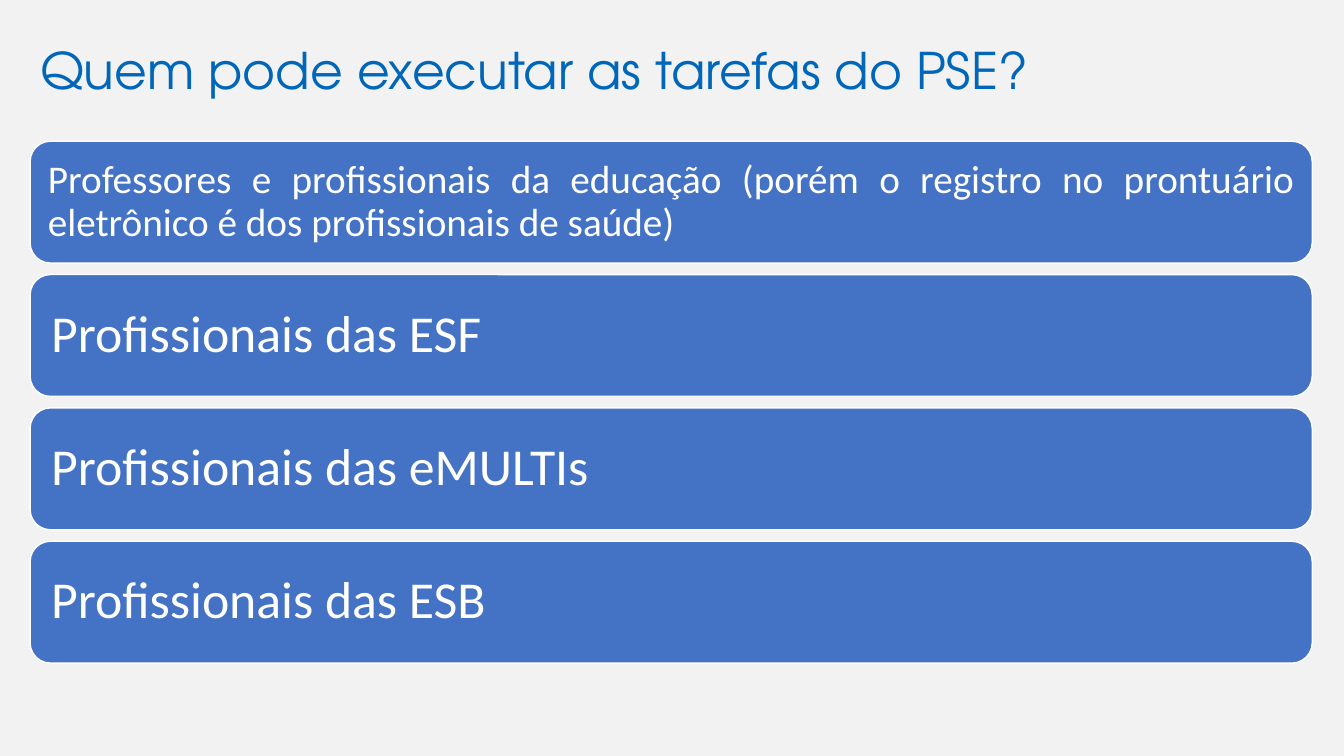
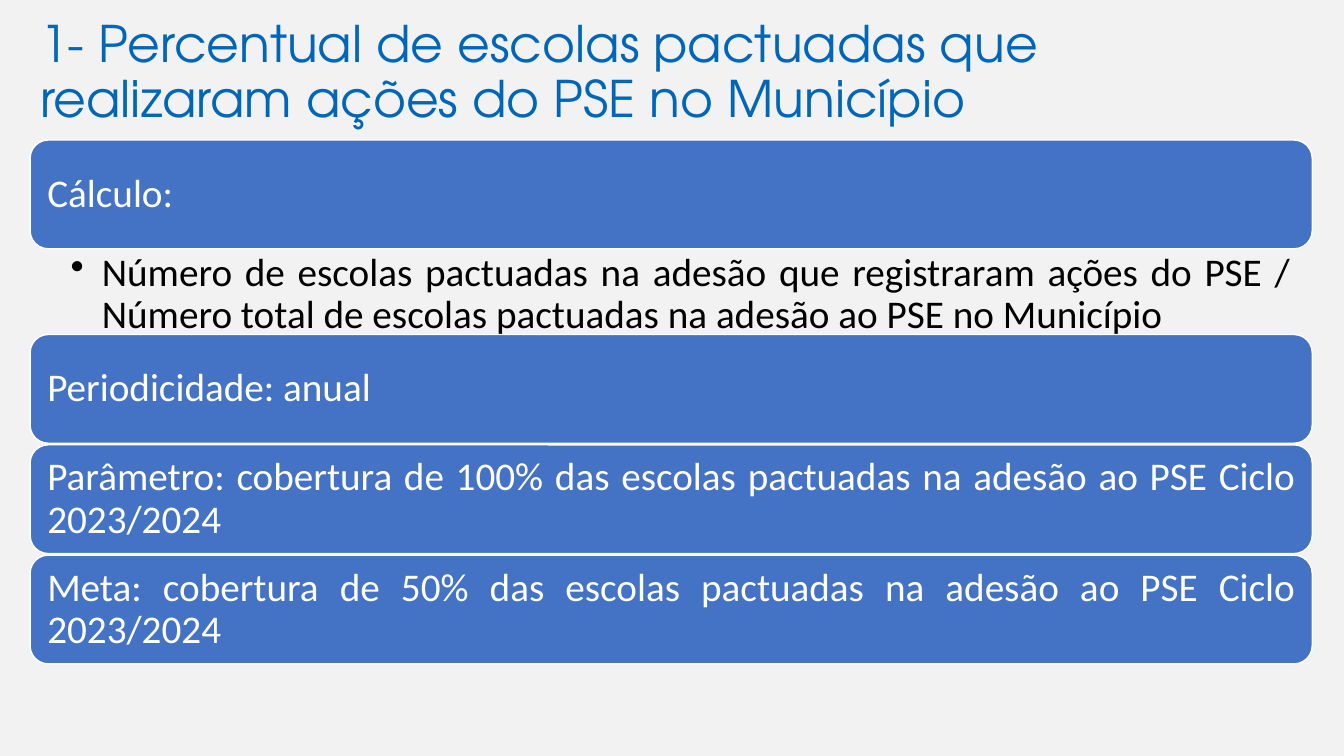
"""Build two slides about who carries out the PSE and how it is measured."""
import lxml.etree
import pptx
import pptx.dml.color
import pptx.enum.shapes
import pptx.enum.text
import pptx.oxml.ns
import pptx.util

Cm = pptx.util.Cm
Pt = pptx.util.Pt
ALIGN = pptx.enum.text.PP_ALIGN
ANCHOR = pptx.enum.text.MSO_ANCHOR

LEFT, WIDTH = Cm(0.76), Cm(32.31)
BACKGROUND, BLUE, BAR_BLUE, WHITE, BLACK = "F2F2F2", "0066B9", "4472C4", "FFFFFF", "000000"
DETAIL_HEIGHT = Cm(2.16)

TITLE = {"font": "TeX Gyre Adventor", "size": 36, "color": BLUE, "align": ALIGN.LEFT,
         "anchor": ANCHOR.MIDDLE, "margins": (0.25, 0.13, 0.6, 0.13)}
BAR = {"font": "Calibri", "size": 28, "color": WHITE, "align": ALIGN.JUSTIFY,
       "anchor": ANCHOR.MIDDLE, "margins": (0.3, 0.3, 0.3, 0.3)}
LARGE_BAR = {**BAR, "size": 37, "margins": (0.38, 0.38, 0.38, 0.38)}
DETAIL = {**BAR, "color": BLACK, "anchor": ANCHOR.TOP, "margins": (1.02, 0.1, 0.56, 0.1)}

SLIDES = [
    {"title": "Quem pode executar as tarefas do PSE?",
     "top": 3.56, "height": 3.07, "gap": 0.29,
     "bars": [
         ("Professores e profissionais da educação (porém o registro no prontuário "
          "eletrônico é dos profissionais de saúde)", BAR, None),
         ("Profissionais das ESF", LARGE_BAR, None),
         ("Profissionais das eMULTIs", LARGE_BAR, None),
         ("Profissionais das ESB", LARGE_BAR, None)]},
    {"title": "1- Percentual de escolas pactuadas que realizaram ações do PSE no Município",
     "top": 3.53, "height": 2.74, "gap": 0.04,
     "bars": [
         ("Cálculo:", BAR,
          "Número de escolas pactuadas na adesão que registraram ações do PSE / "
          "Número total de escolas pactuadas na adesão ao PSE no Município"),
         ("Periodicidade: anual", BAR, None),
         ("Parâmetro: cobertura de 100% das escolas pactuadas na adesão ao PSE Ciclo 2023/2024",
          BAR, None),
         ("Meta: cobertura de 50% das escolas pactuadas na adesão ao PSE Ciclo 2023/2024",
          BAR, None)]},
]


def rgb(value):
    return pptx.dml.color.RGBColor.from_string(value)


def write_text(shape, text, style):
    frame = shape.text_frame
    frame.text = text
    paragraph = frame.paragraphs[0]
    font = paragraph.runs[0].font
    left, top, right, bottom = map(Cm, style["margins"])
    formats = [
        (frame, {"word_wrap": True, "auto_size": pptx.enum.text.MSO_AUTO_SIZE.NONE,
                 "vertical_anchor": style["anchor"], "margin_left": left, "margin_top": top,
                 "margin_right": right, "margin_bottom": bottom}),
        (paragraph, {"alignment": style["align"], "line_spacing": 0.9}),
        (font, {"name": style["font"], "size": Pt(style["size"])}),
        (font.color, {"rgb": rgb(style["color"])}),
    ]
    for target, values in formats:
        for name, value in values.items():
            setattr(target, name, value)
    return paragraph


presentation = pptx.Presentation()
presentation.slide_width, presentation.slide_height = Cm(33.87), Cm(19.05)
background = presentation.slide_master.background.fill
background.solid()
background.fore_color.rgb = rgb(BACKGROUND)
title_only = presentation.slide_layouts[5]

for content in SLIDES:
    slide = presentation.slides.add_slide(title_only)
    title = slide.shapes.title
    title.left, title.top, title.width, title.height = LEFT, Cm(0.33), WIDTH, Cm(3.05)
    write_text(title, content["title"], TITLE)

    top, height, gap = (Cm(content[name]) for name in ("top", "height", "gap"))
    for text, style, detail in content["bars"]:
        bar = slide.shapes.add_shape(
            pptx.enum.shapes.MSO_SHAPE.ROUNDED_RECTANGLE, LEFT, top, WIDTH, height)
        bar.shadow.inherit = False
        bar.fill.solid()
        bar.fill.fore_color.rgb = rgb(BAR_BLUE)
        bar.line.color.rgb = rgb(WHITE)
        bar.line.width = Pt(1)
        write_text(bar, text, style)
        top += height
        if detail:
            box = slide.shapes.add_textbox(LEFT, top, WIDTH, DETAIL_HEIGHT)
            paragraph = write_text(box, detail, DETAIL)
            paragraph.level = 1
            properties = paragraph._p.get_or_add_pPr()
            properties.set("marL", str(Cm(0.79)))
            properties.set("indent", str(-Cm(0.79)))
            bullet = lxml.etree.SubElement(properties, pptx.oxml.ns.qn("a:buChar"))
            bullet.set("char", "•")
            top += DETAIL_HEIGHT
        else:
            top += gap

presentation.save("out.pptx")
